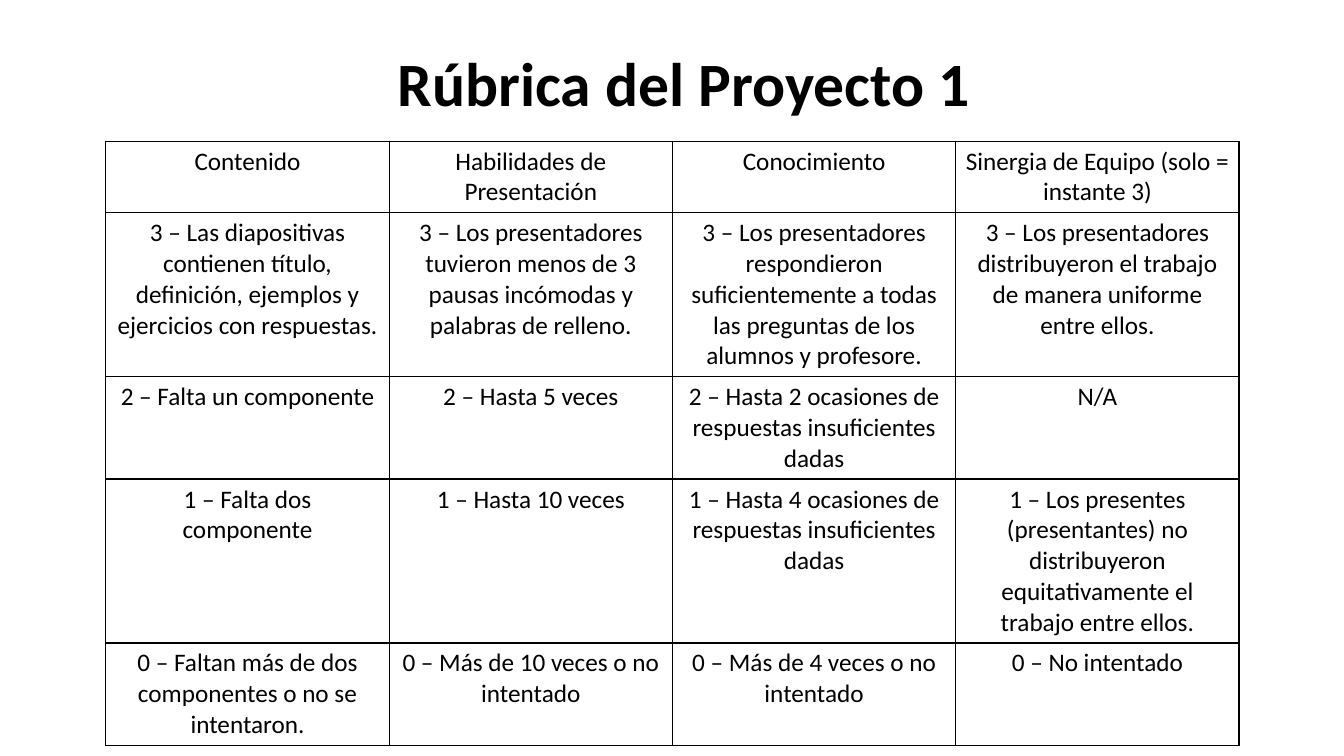
from lxml import etree
from pptx import Presentation
from pptx.dml.color import RGBColor
from pptx.enum.text import MSO_AUTO_SIZE, PP_ALIGN
from pptx.oxml.ns import qn
from pptx.util import Inches, Pt

TITLE = "Rúbrica del Proyecto 1"
RUBRIC = [
    ["Contenido", "Habilidades de Presentación", "Conocimiento",
     "Sinergia de Equipo (solo = instante 3)"],
    ["3 – Las diapositivas contienen título, definición, ejemplos y ejercicios con respuestas.",
     "3 – Los presentadores tuvieron menos de 3 pausas incómodas y palabras de relleno.",
     "3 – Los presentadores respondieron suficientemente a todas las preguntas de los alumnos y profesore.",
     "3 – Los presentadores distribuyeron el trabajo de manera uniforme entre ellos."],
    ["2 – Falta un componente", "2 – Hasta 5 veces",
     "2 – Hasta 2 ocasiones de respuestas insuficientes dadas", "N/A"],
    ["1 – Falta dos componente", "1 – Hasta 10 veces",
     "1 – Hasta 4 ocasiones de respuestas insuficientes dadas",
     "1 – Los presentes (presentantes) no distribuyeron equitativamente el trabajo entre ellos."],
    ["0 – Faltan más de dos componentes o no se intentaron.",
     "0 – Más de 10 veces o no intentado", "0 – Más de 4 veces o no intentado",
     "0 – No intentado"],
]
LINES_PER_ROW = [2, 5, 3, 5, 3]
LINE_HEIGHT, ROW_PADDING, COLUMN_WIDTH = 0.3, 0.1, 2.81
COLORS = {"ink": "000000", "paper": "FFFFFF"}
FONT = "Calibri"


def style_text(paragraph, size, bold):
    paragraph.alignment = PP_ALIGN.CENTER
    for run in paragraph.runs:
        run.font.name = FONT
        run.font.size = Pt(size)
        run.font.bold = bold
        run.font.color.rgb = RGBColor.from_string(COLORS["ink"])


def add_borders(cell):
    """Draw a 1 pt line on all four sides; lines must precede the cell fill."""
    properties = cell._tc.get_or_add_tcPr()
    for position, side in enumerate(("a:lnL", "a:lnR", "a:lnT", "a:lnB")):
        line = etree.Element(qn(side), w=str(Pt(1)))
        fill = etree.SubElement(line, qn("a:solidFill"))
        etree.SubElement(fill, qn("a:srgbClr"), val=COLORS["ink"])
        properties.insert(position, line)


def add_title(slide):
    title = slide.shapes.add_textbox(Inches(3.82), Inches(0.4), Inches(5.93), Inches(0.84))
    frame = title.text_frame
    frame.text = TITLE
    frame.word_wrap = False
    frame.auto_size = MSO_AUTO_SIZE.SHAPE_TO_FIT_TEXT
    style_text(frame.paragraphs[0], 44, True)


def add_rubric(slide):
    heights = [ROW_PADDING + LINE_HEIGHT * lines for lines in LINES_PER_ROW]
    columns = len(RUBRIC[0])
    rubric = slide.shapes.add_table(
        len(RUBRIC), columns, Inches(1.05), Inches(1.4),
        Inches(COLUMN_WIDTH * columns), Inches(sum(heights))).table
    rubric.first_row = rubric.horz_banding = False
    for column in rubric.columns:
        column.width = Inches(COLUMN_WIDTH)
    for row, height, criteria in zip(rubric.rows, heights, RUBRIC):
        row.height = Inches(height)
        for cell, criterion in zip(row.cells, criteria):
            cell.text_frame.text = criterion
            style_text(cell.text_frame.paragraphs[0], 18, False)
            cell.fill.solid()
            cell.fill.fore_color.rgb = RGBColor.from_string(COLORS["paper"])
            add_borders(cell)


def main():
    deck = Presentation()
    deck.slide_width, deck.slide_height = Inches(13.33), Inches(7.5)
    slide = deck.slides.add_slide(deck.slide_layouts[6])
    add_rubric(slide)
    add_title(slide)
    deck.save("out.pptx")


if __name__ == "__main__":
    main()
